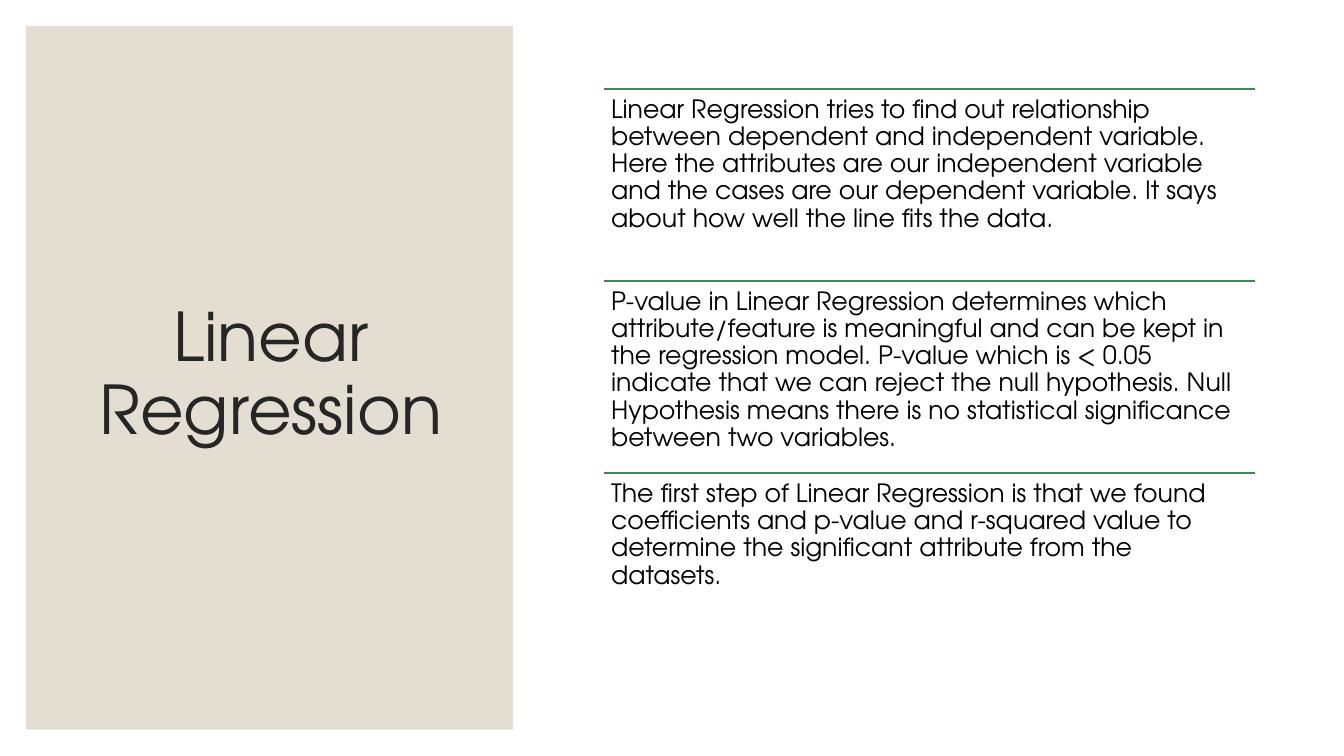
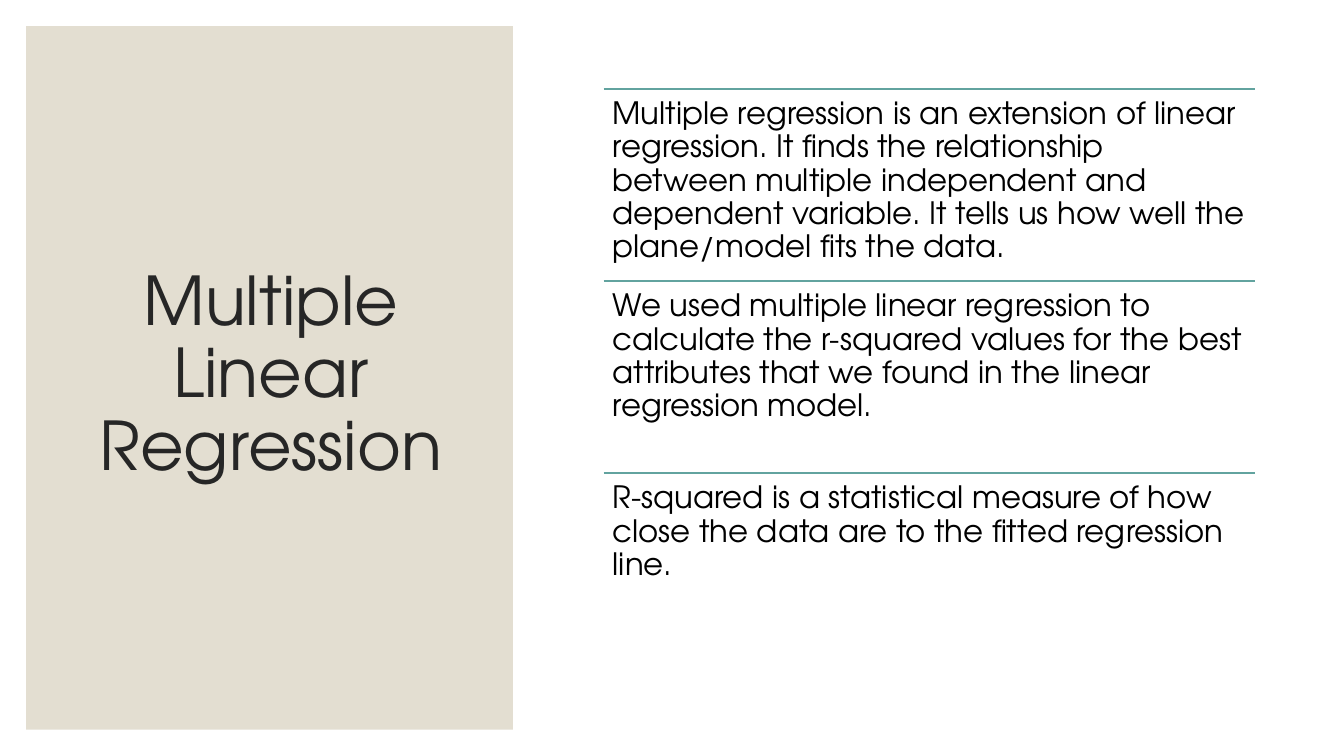
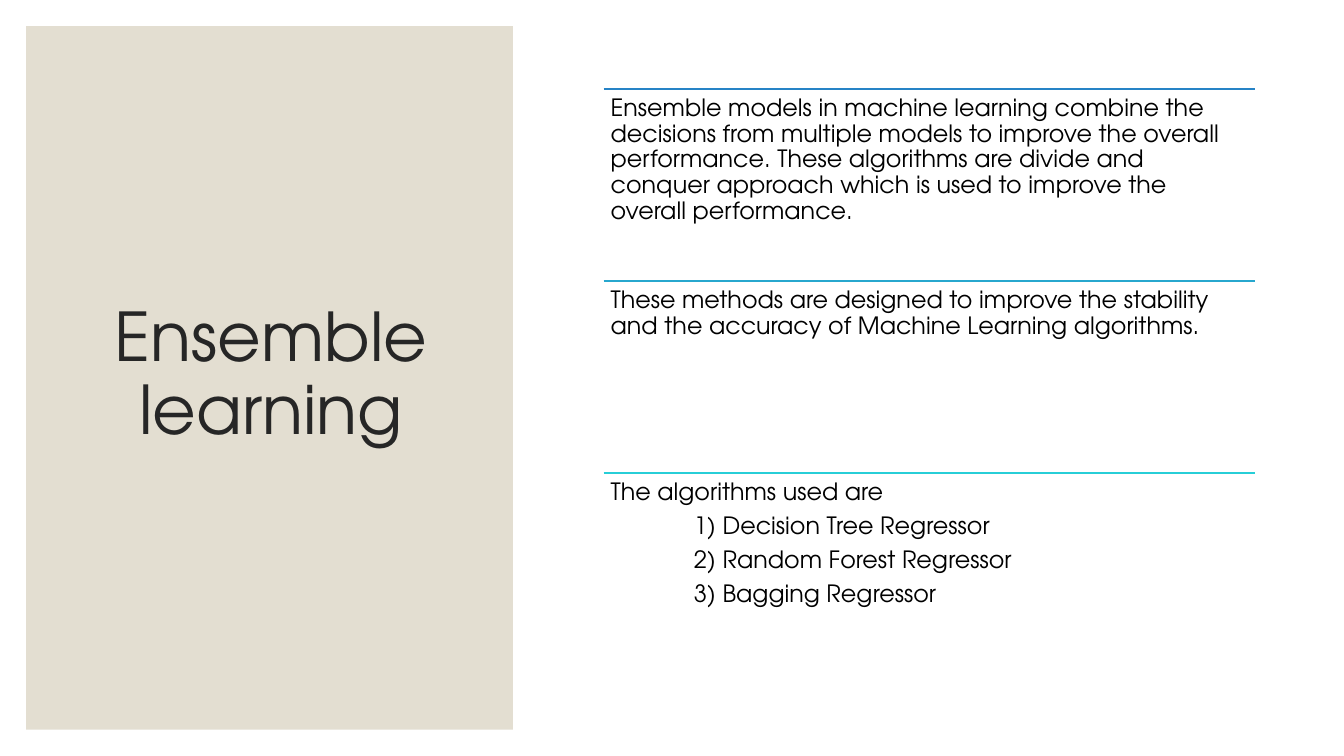
from lxml.etree import SubElement
from pptx import Presentation
from pptx.dml.color import RGBColor
from pptx.enum.shapes import MSO_CONNECTOR, MSO_SHAPE
from pptx.enum.text import MSO_ANCHOR, MSO_AUTO_SIZE, PP_ALIGN
from pptx.oxml.ns import qn
from pptx.util import Cm, Pt

FONT = "TeX Gyre Adventor"
HUES = {
    "panel": "E3DED1",
    "title": "262626",
    "text": "000000",
    "green": "3E8853",
    "teal": "62A39F",
    "blue": "2683C6",
    "sky": "27A7CE",
    "aqua": "27CED7",
}
LEFT, TOP, WIDTH, STEP = 15.21, 2.24, 16.41, 4.84
INDENT = Cm(2.1)

DECK = [
    {
        "title": "Linear Regression",
        "size": 18,
        "hues": ["green"] * 3,
        "rows": [
            ["Linear Regression tries to find out relationship between dependent "
             "and independent variable. Here the attributes are our independent "
             "variable and the cases are our dependent variable. It says about "
             "how well the line fits the data."],
            ["P-value in Linear Regression determines which attribute/feature is "
             "meaningful and can be kept in the regression model. P-value which "
             "is < 0.05 indicate that we can reject the null hypothesis. Null "
             "Hypothesis means there is no statistical significance between two "
             "variables."],
            ["The first step of Linear Regression is that we found coefficients "
             "and p-value and r-squared value to determine the significant "
             "attribute from the datasets."],
        ],
    },
    {
        "title": "Multiple Linear Regression",
        "size": 22,
        "hues": ["teal"] * 3,
        "rows": [
            ["Multiple regression is an extension of linear regression. It finds "
             "the relationship between multiple independent and dependent "
             "variable. It tells us how well the plane/model fits the data."],
            ["We used multiple linear regression to calculate the r-squared "
             "values for the best attributes that we found in the linear "
             "regression model."],
            ["R-squared is a statistical measure of how close the data are to "
             "the fitted regression line."],
        ],
    },
    {
        "title": "Ensemble learning",
        "size": 17,
        "hues": ["blue", "sky", "aqua"],
        "rows": [
            ["Ensemble models in machine learning combine the decisions from "
             "multiple models to improve the overall performance. These "
             "algorithms are divide and conquer approach which is used to "
             "improve the overall performance."],
            ["These methods are designed to improve the stability and the "
             "accuracy of Machine Learning algorithms."],
            ["The algorithms used are", "1) Decision Tree Regressor",
             "2) Random Forest Regressor", "3) Bagging Regressor"],
        ],
    },
]


def put(item, form):
    """Set each attribute of item from a dict of format values."""
    for name, value in form.items():
        setattr(item, name, value)


def hue(name):
    """Return the named colour."""
    return RGBColor.from_string(HUES[name])


def style(para, size, tint, form):
    """Format a paragraph and its font."""
    put(para, {"line_spacing": 0.9, **form})
    put(para.font, {"name": FONT, "size": Pt(size)})
    para.font.color.rgb = hue(tint)


def panel(slide):
    """Draw the side panel behind the title."""
    box = slide.shapes.add_shape(
        MSO_SHAPE.RECTANGLE, Cm(0.66), Cm(0.66), Cm(12.27), Cm(17.73))
    box.shadow.inherit = False
    box.fill.solid()
    box.fill.fore_color.rgb = hue("panel")
    box.line.fill.background()
    slide.shapes.title._element.addprevious(box._element)


def head(slide, text):
    """Place and format the slide title."""
    title = slide.shapes.title
    put(title, {"left": Cm(1.6), "top": Cm(1.55),
                "width": Cm(10.46), "height": Cm(15.85)})
    frame = title.text_frame
    frame.text = text
    put(frame, {"word_wrap": True, "auto_size": MSO_AUTO_SIZE.NONE,
                "vertical_anchor": MSO_ANCHOR.MIDDLE})
    style(frame.paragraphs[0], 48, "title", {"alignment": PP_ALIGN.CENTER})


def rule(slide, top, tint):
    """Draw the thin line above a row."""
    line = slide.shapes.add_connector(
        MSO_CONNECTOR.STRAIGHT, Cm(LEFT), Cm(top), Cm(LEFT + WIDTH), Cm(top))
    line.line.color.rgb = hue(tint)
    line.line.width = Pt(1)
    SubElement(line._element.spPr, qn("a:effectLst"))


def block(slide, top, texts, size):
    """Write the paragraphs of a row, with all but the first indented."""
    box = slide.shapes.add_textbox(Cm(LEFT), Cm(top), Cm(WIDTH), Cm(STEP))
    frame = box.text_frame
    sides = ("margin_left", "margin_top", "margin_right", "margin_bottom")
    put(frame, {"word_wrap": True, **dict.fromkeys(sides, Pt(size * 0.3))})
    frame.text = "\n".join(texts)
    for spot, para in enumerate(frame.paragraphs):
        if spot:
            para._p.get_or_add_pPr().set("marL", str(INDENT))
        style(para, size, "text", {"space_after": Pt(size * 0.35)})


def main():
    """Build and save the slides."""
    deck = Presentation()
    put(deck, {"slide_width": Cm(33.87), "slide_height": Cm(19.05)})
    for page in DECK:
        slide = deck.slides.add_slide(deck.slide_layouts[5])
        panel(slide)
        head(slide, page["title"])
        for spot, (tint, texts) in enumerate(zip(page["hues"], page["rows"])):
            top = TOP + spot * STEP
            rule(slide, top, tint)
            block(slide, top, texts, page["size"])
    deck.save("out.pptx")


if __name__ == "__main__":
    main()
